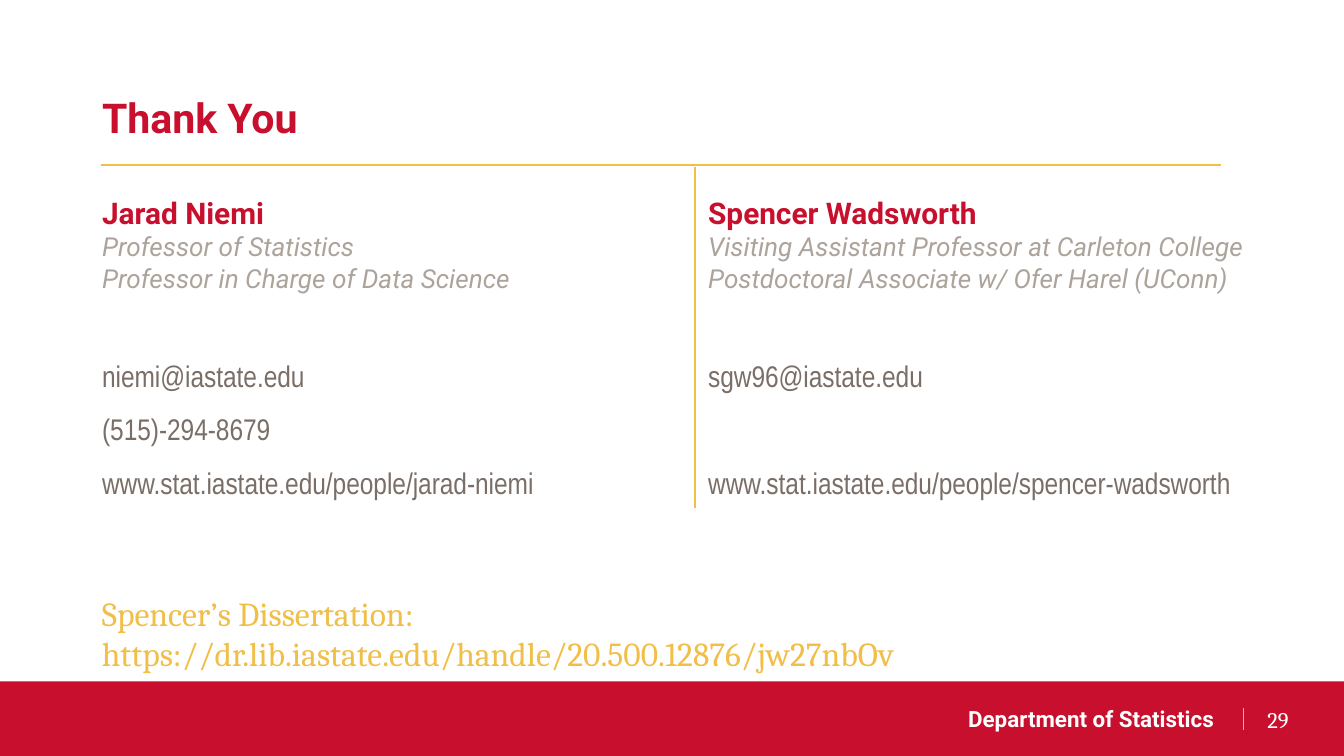
from dataclasses import dataclass

from lxml import etree
from pptx import Presentation
from pptx.dml.color import RGBColor
from pptx.enum import shapes, text
from pptx.oxml import ns
from pptx.util import Pt


@dataclass(frozen=True)
class Theme:
    red: str = "C8102E"
    gold: str = "F1BE48"
    gray: str = "ACA39A"
    brown: str = "7A6E67"
    white: str = "FFFFFF"
    sans: str = "Roboto"
    narrow: str = "Arial Narrow"
    serif: str = "Cambria"
    title_size: float = 22
    link_size: float = 18
    name_size: float = 16
    role_size: float = 14
    footer_size: float = 12


THEME = Theme()
NAME = dict(font=THEME.sans, size=THEME.name_size, color=THEME.red, bold=True)
ROLE = dict(font=THEME.sans, size=THEME.role_size, color=THEME.gray, italic=True)
CONTACT = dict(font=THEME.narrow, size=THEME.name_size, color=THEME.brown, spacing=1.5)

TITLE = "Thank You"
PEOPLE = [
    dict(left=47.5, width=312.5, name="Jarad Niemi",
         roles=["Professor of Statistics", "Professor in Charge of Data Science"],
         contacts=["niemi@iastate.edu", "(515)-294-8679",
                   "www.stat.iastate.edu/people/jarad-niemi"]),
    dict(left=372.2, width=347.8, name="Spencer Wadsworth",
         roles=["Visiting Assistant Professor at Carleton College",
                "Postdoctoral Associate w/ Ofer Harel (UConn)"],
         contacts=["sgw96@iastate.edu", None,
                   "www.stat.iastate.edu/people/spencer-wadsworth"]),
]
DISSERTATION = ("Spencer’s Dissertation: "
                "https://dr.lib.iastate.edu/handle/20.500.12876/jw27nbOv")
DEPARTMENT = "Department of Statistics"
PAGE_NUMBER = "29"

WIDTH, HEIGHT = 720, 405
FOOTER_TOP = 365
BODY_TOP, BODY_HEIGHT = 100.8, 170
ROLE_GAP = 24.6       # between the roles and the contacts
CONTACT_PITCH = 28.7  # one contact row
RULES = [  # x1, y1, x2, y2, line width
    (54, 88.4, 654, 88.4, 1),
    (666, 379.5, 666, 391, 0.75),
    (372.2, 89.3, 372.2, 272, 1),
]


def rgb(value):
    return RGBColor.from_string(value)


def place(shape, left, top, width, height):
    shape.left, shape.top = Pt(left), Pt(top)
    shape.width, shape.height = Pt(width), Pt(height)


def set_frame(shape, anchor=text.MSO_ANCHOR.TOP):
    frame = shape.text_frame
    frame.word_wrap = True
    frame.auto_size = text.MSO_AUTO_SIZE.NONE
    frame.vertical_anchor = anchor
    return frame


def write(paragraph, content, *, font, size, color, bold=False, italic=False,
          align=text.PP_ALIGN.LEFT, spacing=1.0, before=0):
    properties = paragraph._p.get_or_add_pPr()
    properties.set("marL", "0")
    properties.set("indent", "0")
    etree.SubElement(properties, ns.qn("a:buNone"))
    paragraph.alignment = align
    paragraph.line_spacing = spacing
    paragraph.space_before = Pt(before)
    run = paragraph.add_run()
    run.text = content
    run.font.name, run.font.size = font, Pt(size)
    run.font.bold, run.font.italic = bold, italic
    run.font.color.rgb = rgb(color)


def add_label(slide, box, content, anchor=text.MSO_ANCHOR.TOP, **style):
    label = slide.shapes.add_textbox(*map(Pt, box))
    write(set_frame(label, anchor).paragraphs[0], content, **style)


def add_rule(slide, x1, y1, x2, y2, width):
    rule = slide.shapes.add_connector(
        shapes.MSO_CONNECTOR.STRAIGHT, Pt(x1), Pt(y1), Pt(x2), Pt(y2))
    rule.line.color.rgb = rgb(THEME.gold)
    rule.line.width = Pt(width)
    etree.SubElement(rule._element.spPr, ns.qn("a:effectLst"))


def fill_person(body, person):
    place(body, person["left"], BODY_TOP, person["width"], BODY_HEIGHT)
    body.fill.solid()
    body.fill.fore_color.rgb = rgb(THEME.white)
    frame = set_frame(body)
    write(frame.paragraphs[0], person["name"], **NAME)
    for role in person["roles"]:
        write(frame.add_paragraph(), role, **ROLE)
    gap = ROLE_GAP
    for contact in person["contacts"]:
        if contact is None:
            gap += CONTACT_PITCH
            continue
        write(frame.add_paragraph(), contact, before=gap, **CONTACT)
        gap = 0


def main():
    presentation = Presentation()
    presentation.slide_width, presentation.slide_height = Pt(WIDTH), Pt(HEIGHT)
    slide = presentation.slides.add_slide(
        presentation.slide_layouts.get_by_name("Two Content"))
    title, *bodies = slide.placeholders

    place(title, 47.5, 46, 610.5, 63.4)
    write(set_frame(title).paragraphs[0], TITLE, font=THEME.sans,
          size=THEME.title_size, color=THEME.red, bold=True)
    for body, person in zip(bodies, PEOPLE):
        fill_person(body, person)

    footer = slide.shapes.add_shape(
        shapes.MSO_SHAPE.RECTANGLE, 0, Pt(FOOTER_TOP), Pt(WIDTH), Pt(HEIGHT - FOOTER_TOP))
    footer.shadow.inherit = False
    footer.fill.solid()
    footer.fill.fore_color.rgb = rgb(THEME.red)
    footer.line.fill.background()

    add_label(slide, (327.6, 374.4, 330, 22), DEPARTMENT, font=THEME.sans,
              size=THEME.footer_size, color=THEME.white, bold=True,
              align=text.PP_ALIGN.RIGHT)
    add_label(slide, (671.8, 374.4, 41.8, 22), PAGE_NUMBER, text.MSO_ANCHOR.MIDDLE,
              font=THEME.serif, size=THEME.footer_size, color=THEME.white)
    add_label(slide, (47.5, 314, 598.3, 50), DISSERTATION, font=THEME.serif,
              size=THEME.link_size, color=THEME.gold)
    for rule in RULES:
        add_rule(slide, *rule)

    presentation.save("out.pptx")


if __name__ == "__main__":
    main()
